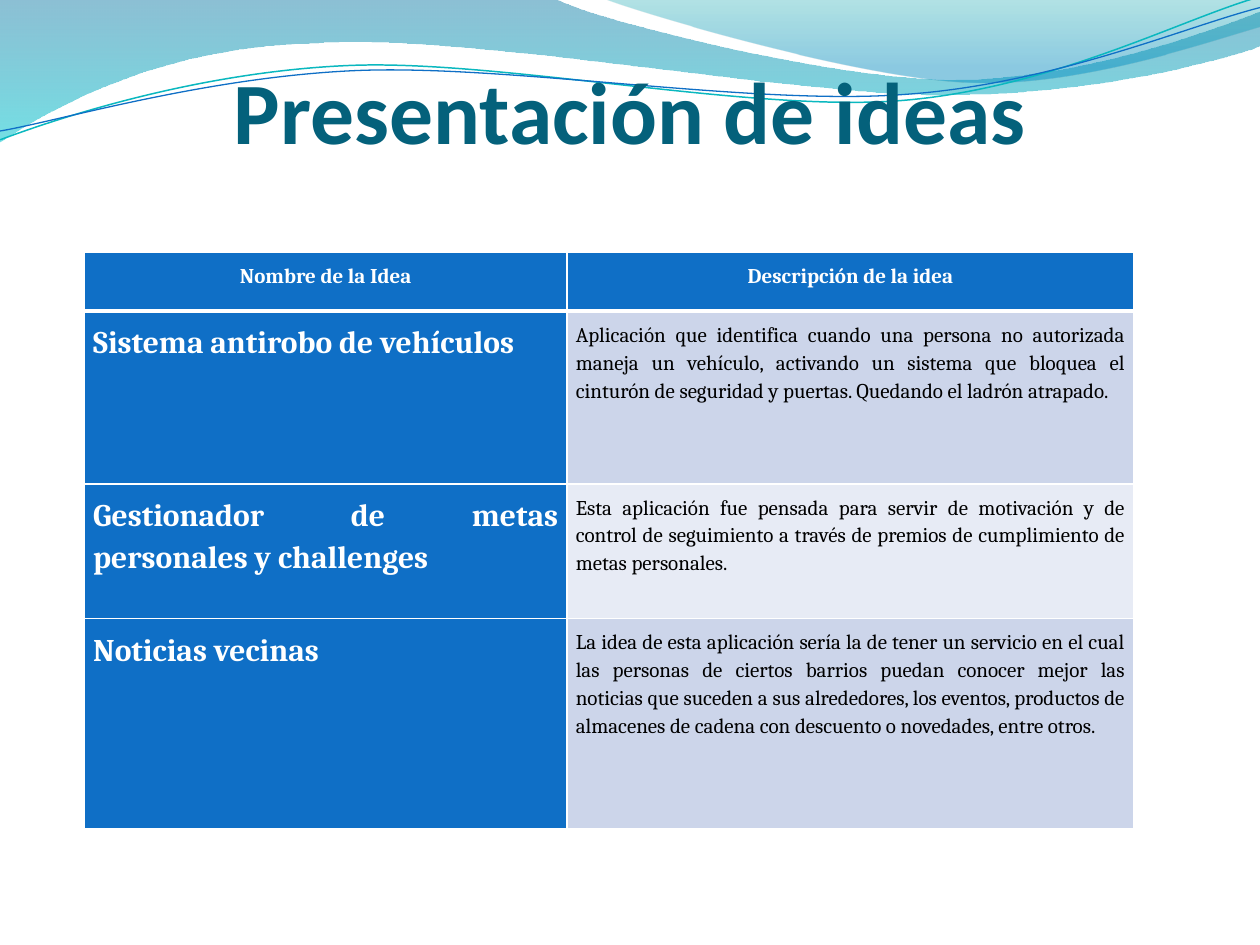
from math import cos, radians, sin

from lxml import etree
from pptx import Presentation
from pptx.dml.color import RGBColor
from pptx.enum.text import MSO_ANCHOR, MSO_AUTO_SIZE, PP_ALIGN
from pptx.oxml.ns import qn
from pptx.util import Inches, Pt

CENTER, JUSTIFY = PP_ALIGN.CENTER, PP_ALIGN.JUSTIFY
BOTTOM, NO_FIT = MSO_ANCHOR.BOTTOM, MSO_AUTO_SIZE.NONE
WHITE = RGBColor(0xFF, 0xFF, 0xFF)
BLACK = RGBColor(0, 0, 0)
TITLE_TEAL = RGBColor(0x04, 0x61, 0x7B)
BLUE = RGBColor(0x0F, 0x6F, 0xC6)
AQUA = RGBColor(0x0A, 0xB8, 0xBF)
BAND_DARK = RGBColor(0xCC, 0xD5, 0xEA)
BAND_LIGHT = RGBColor(0xE7, 0xEB, 0xF5)
TILT = 2.7
TILT_CENTER = (4.99, 0.58)

WAVE_FILLS = [
    ([(0, 0), (4.4, -0.01),
      (4.76, 0.17, 6.64, 0.63, 7.58, 0.63), (8.53, 0.63, 9.58, 0.26, 10, 0.09),
      (10.01, 0.36), (9.83, 0.44, 8.7, 0.76, 7.46, 0.75),
      (6.22, 0.75, 3.82, 0.28, 2.57, 0.34), (1.29, 0.36, 0.46, 0.83, -0.01, 1.13)],
     [(0, RGBColor(0x00, 0x74, 0xA1), 45), (1, RGBColor(0x00, 0xC6, 0xCF), 55)]),
    ([(4.79, -0.01), (5.09, 0.11, 6.82, 0.62, 7.69, 0.65),
      (8.56, 0.69, 9.61, 0.32, 10, 0.21), (10, 0)],
     [(0, RGBColor(0x00, 0xA1, 0xA9), 30), (0.8, RGBColor(0x00, 0x8B, 0xBF), 45)]),
]
WAVE_LINES = [
    ([(0, 1.11), (0.48, 0.93, 1.58, 0.57, 2.77, 0.52),
      (3.95, 0.47, 5.93, 0.89, 7.13, 0.8), (8.33, 0.71, 9.38, 0.15, 9.98, -0.02)],
     AQUA, 0.85),
    ([(0, 1.04), (0.47, 0.96, 1.64, 0.61, 2.83, 0.56),
      (4.03, 0.51, 5.97, 0.84, 7.17, 0.75), (8.36, 0.67, 9.41, 0.21, 10, 0.06)],
     BLUE, 0.75),
]
HEADINGS = ("Nombre de la Idea", "Descripción de la idea")
IDEAS = [
    ("Sistema antirobo de vehículos",
     "Aplicación que identifica cuando una persona no autorizada maneja un vehículo, "
     "activando un sistema que bloquea el cinturón de seguridad y puertas. "
     "Quedando el ladrón atrapado."),
    ("Gestionador de metas personales y challenges",
     "Esta aplicación fue pensada para servir de motivación y de control de seguimiento "
     "a través de premios de cumplimiento de metas personales."),
    ("Noticias vecinas",
     "La idea de esta aplicación sería la de tener un servicio en el cual las personas "
     "de ciertos barrios puedan conocer mejor las noticias que suceden a sus alrededores, "
     "los eventos, productos de almacenes de cadena con descuento o novedades, entre otros."),
]


def pairs(part):
    """Split a flat coordinate tuple into points."""
    return list(zip(part[::2], part[1::2]))


def level(part):
    """Turn the points of a path part clockwise by the tilt."""
    across, down = cos(radians(TILT)), sin(radians(TILT))
    middle_x, middle_y = TILT_CENTER
    turned = []
    for x, y in pairs(part):
        dx, dy = x - middle_x, y - middle_y
        turned += [middle_x + dx * across - dy * down, middle_y + dx * down + dy * across]
    return tuple(turned)


def apply_format(target, values):
    """Set each named attribute on the target."""
    for name, value in values.items():
        setattr(target, name, value)


class IdeaSlide:
    """Hold the style and the current slide."""

    def __init__(self, deck):
        """Add a title-only page."""
        self.page = deck.slides.add_slide(deck.slide_layouts[5])

    def outline(self, path, closed):
        """Draw a freeform whose six-number parts are cubic curves."""
        path = [tuple(Inches(number) for number in part) for part in path]
        builder = self.page.shapes.build_freeform(*path[0])
        builder.add_line_segments([part[-2:] for part in path[1:]], close=closed)
        shape = builder.convert_to_shape()
        shape.shadow.inherit = False
        segments = list(shape._element.iter(qn("a:lnTo")))
        for segment, part in zip(segments, path[1:]):
            if len(part) == 6:
                curve = etree.Element(qn("a:cubicBezTo"))
                for x, y in pairs(part):
                    etree.SubElement(curve, qn("a:pt"),
                                     x=str(x - shape.left), y=str(y - shape.top))
                segment.getparent().replace(segment, curve)
        return shape

    def wave_fill(self, path, stops):
        """Draw a closed wave with a translucent downward gradient."""
        wave = self.outline(path, True)
        wave.line.fill.background()
        wave.fill.gradient()
        wave.fill.gradient_angle = 270
        for stop, (position, color, _) in zip(wave.fill.gradient_stops, stops):
            stop.position = position
            stop.color.rgb = color
        for node, (_, _, opacity) in zip(wave._element.iter(qn("a:srgbClr")), stops):
            etree.SubElement(node, qn("a:alpha"), val=str(opacity * 1000))

    def wave_line(self, path, color, width):
        """Draw an open, tilted wave line."""
        wave = self.outline([level(part) for part in path], False)
        wave.rotation = -TILT
        wave.fill.background()
        wave.line.color.rgb = color
        wave.line.width = Pt(width)

    def text(self, frame, words, size, color, bold, font, **layout):
        """Write one formatted paragraph."""
        para = frame.paragraphs[0]
        apply_format(para, layout)
        span = para.add_run()
        span.text = words
        apply_format(span.font, {"size": Pt(size), "bold": bold, "name": font})
        span.font.color.rgb = color

    def title(self, words):
        """Place the title in front of the waves."""
        box = self.page.shapes.title
        apply_format(box, {"left": Inches(0.5), "top": Inches(0.04),
                           "width": Inches(9), "height": Inches(1.25)})
        apply_format(box.text_frame, {
            "vertical_anchor": BOTTOM, "auto_size": NO_FIT, "word_wrap": True,
            "margin_left": 0, "margin_right": 0, "margin_top": Inches(0.05), "margin_bottom": 0})
        self.text(box.text_frame, words, 50, TITLE_TEAL, True, "Calibri", alignment=CENTER)
        self.page.shapes._spTree.append(box._element)

    def borders(self, cell, top, bottom):
        """Give a cell white borders."""
        properties = cell._tc.get_or_add_tcPr()
        for side, width in (("L", 1), ("R", 1), ("T", top), ("B", bottom)):
            line = etree.SubElement(properties, qn(f"a:ln{side}"), w=str(Pt(width)))
            fill = etree.SubElement(line, qn("a:solidFill"))
            etree.SubElement(fill, qn("a:srgbClr"), val=str(WHITE))

    def table(self, rows, widths, heights):
        """Draw the table of ideas with its heading row."""
        frame = self.page.shapes.add_table(len(rows), len(widths), Inches(0.67), Inches(2),
                                           Inches(sum(widths)), Inches(sum(heights)))
        table = frame.table
        apply_format(table, {"first_row": False, "horz_banding": False})
        for column, width in zip(table.columns, widths):
            column.width = Inches(width)
        for row, height in zip(table.rows, heights):
            row.height = Inches(height)
        for r, row in enumerate(rows):
            for c, words in enumerate(row):
                cell = table.cell(r, c)
                strong = r == 0 or c == 0
                self.borders(cell, 3 if r == 1 else 1, 3 if r == 0 else 1)
                cell.fill.solid()
                band = BAND_DARK if r % 2 else BAND_LIGHT
                cell.fill.fore_color.rgb = BLUE if strong else band
                sides = ("left", "right", "top", "bottom")
                apply_format(cell, {f"margin_{side}": Inches(0.07) for side in sides})
                self.text(cell.text_frame, words, 18 if r and c == 0 else 12,
                          WHITE if strong else BLACK, strong, "Cambria",
                          alignment=JUSTIFY if r else CENTER,
                          line_spacing=1.15, space_after=Pt(10))


def main():
    """Build and save the deck."""
    deck = Presentation()
    deck.slide_width, deck.slide_height = Inches(10), Inches(7.5)
    slide = IdeaSlide(deck)
    for path, stops in WAVE_FILLS:
        slide.wave_fill(path, stops)
    for path, color, width in WAVE_LINES:
        slide.wave_line(path, color, width)
    slide.title("Presentación de ideas")
    slide.table([HEADINGS, *IDEAS], (3.83, 4.5), (0.47, 1.37, 1.07, 1.67))
    deck.save("out.pptx")


if __name__ == "__main__":
    main()
